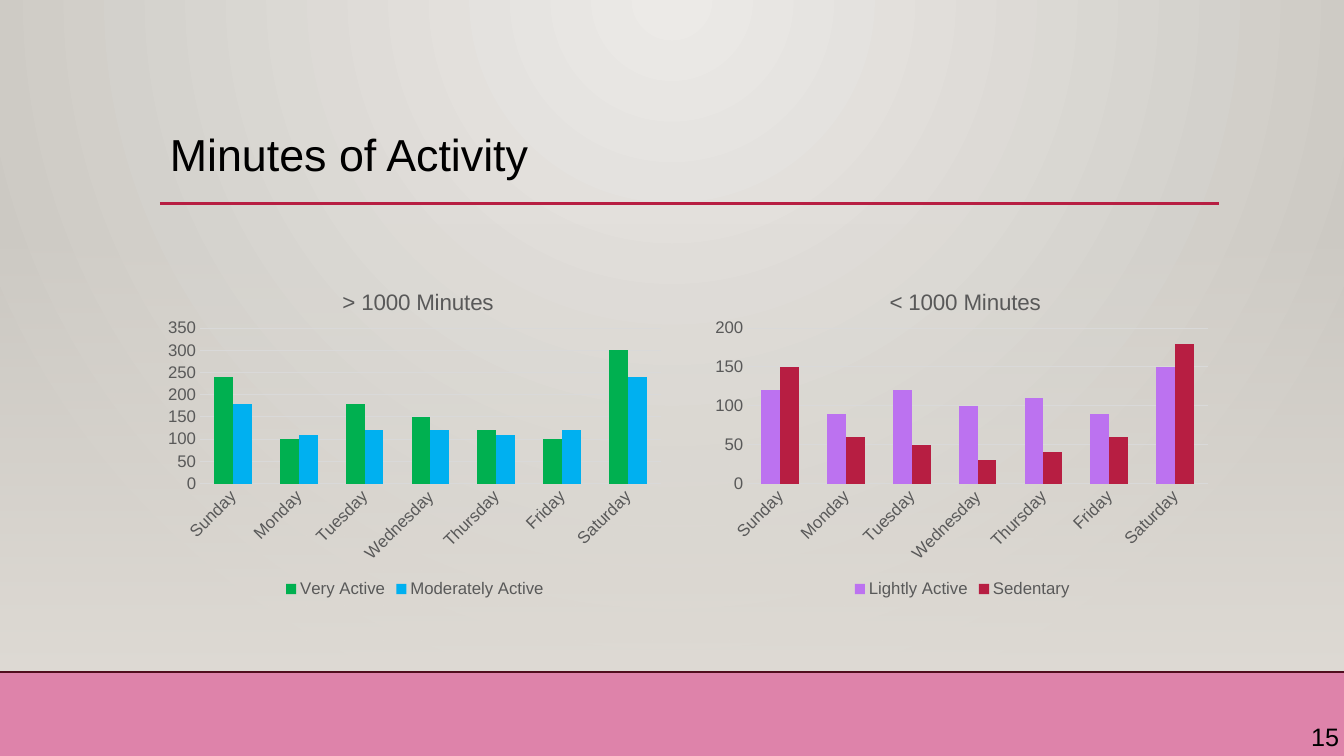
from lxml import etree
from pptx import Presentation
from pptx.chart.data import CategoryChartData
from pptx.dml.color import RGBColor
from pptx.enum.chart import XL_CHART_TYPE, XL_LEGEND_POSITION, XL_TICK_MARK
from pptx.enum.shapes import MSO_CONNECTOR, MSO_SHAPE
from pptx.oxml import parse_xml
from pptx.oxml.ns import nsdecls, qn
from pptx.util import Cm, Pt

COLUMN = XL_CHART_TYPE.COLUMN_CLUSTERED
BOTTOM = XL_LEGEND_POSITION.BOTTOM
NO_TICK = XL_TICK_MARK.NONE
RECT = MSO_SHAPE.RECTANGLE
STRAIGHT = MSO_CONNECTOR.STRAIGHT

WIDE, HIGH = 33.87, 19.05
FONT, GREY, RED = "Arial", "595959", "B71E42"
DAYS = ["Sunday", "Monday", "Tuesday", "Wednesday", "Thursday", "Friday",
        "Saturday"]
CHARTS = [
    ("> 1000 Minutes", [
        ("Very Active", "00B050", [240, 100, 180, 150, 120, 100, 300]),
        ("Moderately Active", "00B0F0", [180, 110, 120, 120, 110, 120, 240])]),
    ("< 1000 Minutes", [
        ("Lightly Active", "BC72F0", [120, 90, 120, 100, 110, 90, 150]),
        ("Sedentary", RED, [150, 60, 50, 30, 40, 60, 180])]),
]


def color(code):
    return RGBColor.from_string(code)


def style(font, size, code):
    font.name, font.size, font.bold = FONT, Pt(size), False
    font.color.rgb = color(code)


def blend(fill, first, last):
    fill.gradient()
    for stop, code in zip(fill.gradient_stops, (first, last)):
        stop.color.rgb = color(code)


def block(slide, left, top, width, height):
    shape = slide.shapes.add_shape(RECT, Cm(left), Cm(top), Cm(width),
                                   Cm(height))
    shape.shadow.inherit = False
    return shape


def label(slide, text, size, left, top, width, height, wrap=True):
    box = slide.shapes.add_textbox(Cm(left), Cm(top), Cm(width), Cm(height))
    box.text_frame.word_wrap = wrap
    para = box.text_frame.paragraphs[0]
    para.text = text
    style(para.font, size, "000000")
    return para


def backdrop(slide):
    # Glow from the top centre
    blend(slide.background.fill, "ECEAE7", "CAC7C1")
    grad = slide.element.find(".//" + qn("a:gradFill"))
    grad.replace(grad.find(qn("a:lin")), parse_xml(
        f'<a:path {nsdecls("a")} path="circle">'
        '<a:fillToRect l="43000" r="43000" b="100000"/></a:path>'))
    # Veil that fades in downwards
    veil = block(slide, 0, 5.61, WIDE, 11.4)
    veil.line.fill.background()
    blend(veil.fill, "DFDBD5", "DFDBD5")
    veil.fill.gradient_angle = 270
    clear = veil.element.find(".//" + qn("a:srgbClr"))
    etree.SubElement(clear, qn("a:alpha")).set("val", "0")


def header(slide, left, top, width):
    para = label(slide, "Minutes of Activity", 32, left, top, 10.14, 2.08)
    para.line_spacing = 0.9
    y = Cm(top + 1.9)
    rule = slide.shapes.add_connector(STRAIGHT, Cm(left), y,
                                      Cm(left + width), y)
    rule.line.color.rgb, rule.line.width = color(RED), Pt(2.5)
    etree.SubElement(rule.element.spPr, qn("a:effectLst"))


def place(node, target="", **parts):
    """Give a chart part a fixed place, as shares of the chart."""
    old = node.find(qn("c:layout"))
    if old is not None:
        node.remove(old)
    modes = "".join(f'<c:{k}Mode val="edge"/>' for k in "xy")
    sizes = "".join(f'<c:{k} val="{v}"/>' for k, v in parts.items())
    layout = parse_xml(
        f'<c:layout {nsdecls("c")}><c:manualLayout>{target}{modes}{sizes}'
        '</c:manualLayout></c:layout>')
    text = node.find(qn("c:tx"))
    node.insert(0 if text is None else 1, layout)


def columns(slide, title, series, left, top, width, height):
    data = CategoryChartData()
    data.categories = DAYS
    for name, _, values in series:
        data.add_series(name, values)
    chart = slide.shapes.add_chart(COLUMN, Cm(left), Cm(top), Cm(width),
                                   Cm(height), data).chart
    style(chart.font, 12, GREY)

    # Title and legend
    chart.has_title = True
    para = chart.chart_title.text_frame.paragraphs[0]
    para.text = title
    style(para.font, 16, GREY)
    chart.has_legend = True
    chart.legend.position = BOTTOM
    chart.legend.include_in_layout = False
    style(chart.legend.font, 12, GREY)

    # Axes
    for axis in (chart.category_axis, chart.value_axis):
        axis.major_tick_mark = axis.minor_tick_mark = NO_TICK
        axis.format.line.fill.background()
        style(axis.tick_labels.font, 12, GREY)
    grid = chart.value_axis.major_gridlines.format.line
    grid.color.rgb, grid.width = color("D9D9D9"), Pt(0.75)

    # Bars
    plot = chart.plots[0]
    plot.gap_width, plot.overlap, plot.vary_by_categories = 150, 0, False
    for bars, (_, code, _) in zip(plot.series, series):
        bars.format.fill.solid()
        bars.format.fill.fore_color.rgb = color(code)

    # Fixed places within the frame
    place(chart.chart_title._element, x=0.35, y=0.06)
    area = chart.element.find(".//" + qn("c:plotArea"))
    place(area, '<c:layoutTarget val="inner"/>', x=0.08, y=0.19, w=0.9,
          h=0.46)


def footer(slide, top):
    band = block(slide, -0.25, top, WIDE + 0.5, 2.29)
    band.fill.solid()
    band.fill.fore_color.rgb = color("DE83AA")
    band.line.color.rgb, band.line.width = color("500D1D"), Pt(1.25)
    label(slide, "15", 18, WIDE - 1.08, top + 1.12, 1.27, 1.02, False)


def main():
    deck = Presentation()
    deck.slide_width, deck.slide_height = Cm(WIDE), Cm(HIGH)
    slide = deck.slides.add_slide(deck.slide_layouts[6])
    backdrop(slide)
    header(slide, 4.03, 3.23, 26.7)
    for i, (title, series) in enumerate(CHARTS):
        columns(slide, title, series, 4.01 + i * 13.79, 6.65, 12.9, 8.52)
    footer(slide, 16.94)
    deck.save("out.pptx")


if __name__ == "__main__":
    main()
